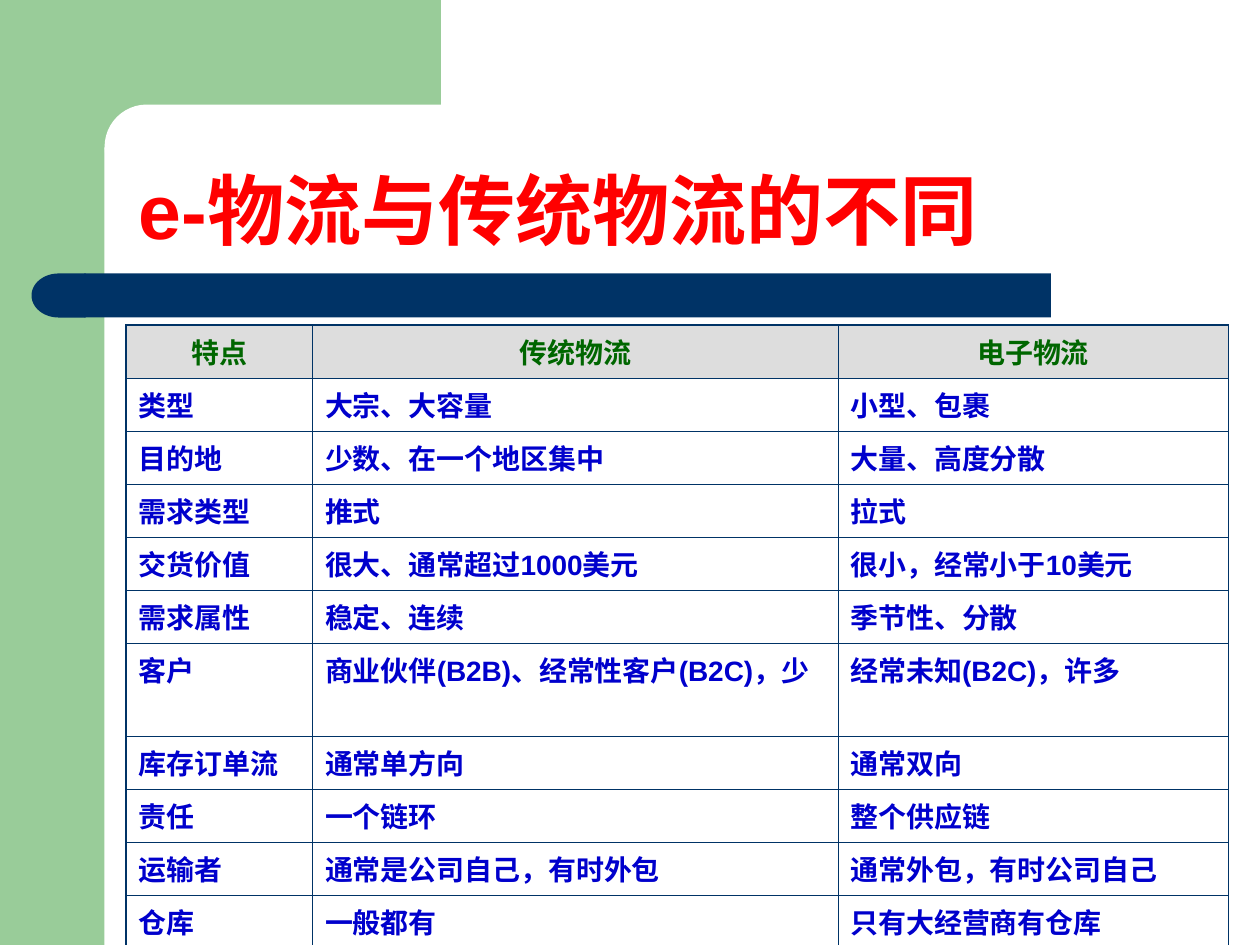
from lxml.etree import SubElement
from pptx import Presentation
from pptx.dml.color import RGBColor
from pptx.enum.shapes import MSO_SHAPE
from pptx.enum.text import MSO_ANCHOR, PP_ALIGN
from pptx.oxml.ns import qn
from pptx.util import Inches, Pt

GREEN = RGBColor(0x99, 0xCC, 0x99)
WHITE = RGBColor(0xFF, 0xFF, 0xFF)
NAVY = RGBColor(0x00, 0x33, 0x66)
RED = RGBColor(0xFF, 0x00, 0x00)
GREY = RGBColor(0xDD, 0xDD, 0xDD)
FOREST = RGBColor(0x00, 0x66, 0x00)
BLUE = RGBColor(0x00, 0x00, 0xCC)

FONT = "Arial"
THIN, THICK = Pt(0.45), Pt(1.08)
COLS = (1.48, 4.17, 3.1)
LOW, TALL = 0.38, 0.64
ROWS = (
    ("特点", "传统物流", "电子物流"),
    ("类型", "大宗、大容量", "小型、包裹"),
    ("目的地", "少数、在一个地区集中", "大量、高度分散"),
    ("需求类型", "推式", "拉式"),
    ("交货价值", "很大、通常超过1000美元", "很小，经常小于10美元"),
    ("需求属性", "稳定、连续", "季节性、分散"),
    ("客户", "商业伙伴(B2B)、经常性客户(B2C)，少", "经常未知(B2C)，许多"),
    ("库存订单流", "通常单方向", "通常双向"),
    ("责任", "一个链环", "整个供应链"),
    ("运输者", "通常是公司自己，有时外包", "通常外包，有时公司自己"),
    ("仓库", "一般都有", "只有大经营商有仓库"),
)


def add_block(slide, kind, box, color):
    """Add a plain filled shape in the box."""
    shape = slide.shapes.add_shape(kind, *map(Inches, box))
    shape.shadow.inherit = False
    shape.fill.solid()
    shape.fill.fore_color.rgb = color
    shape.line.fill.background()
    return shape


def add_frame(slide, box):
    """Draw the green corner with its rounded white cut-out."""
    left, top, width, height = box
    side = 0.83
    add_block(slide, MSO_SHAPE.RECTANGLE, (left, top, side, height), GREEN)
    add_block(slide, MSO_SHAPE.RECTANGLE, (left + 0.75, top, 2.75, 1.17), GREEN)
    panel = (left + side, top + side, 5.58, 0.67)
    add_block(slide, MSO_SHAPE.ROUNDED_RECTANGLE, panel, WHITE).adjustments[0] = 0.5


def add_bar(slide, box):
    """Draw the navy bar with a round left end."""
    left, top, width, height = box
    cap = 0.42
    add_block(slide, MSO_SHAPE.RECTANGLE, (left + cap, top, width - cap, height), NAVY)
    end = add_block(slide, MSO_SHAPE.FLOWCHART_DELAY, (left, top, cap + 0.01, height), NAVY)
    end.rotation = 180


def add_run(para, text, size, color):
    """Add one bold run to the paragraph."""
    run = para.add_run()
    run.text = text
    run.font.name = FONT
    run.font.size = Pt(size)
    run.font.bold = True
    run.font.color.rgb = color


def add_title(slide, box):
    """Place the title in front of the frame."""
    title = slide.shapes.title
    slide.shapes._spTree.append(title._element)
    title.left, title.top, title.width, title.height = map(Inches, box)
    title.text_frame.vertical_anchor = MSO_ANCHOR.BOTTOM
    para = title.text_frame.paragraphs[0]
    para.alignment = PP_ALIGN.LEFT
    para.line_spacing = 0.9
    add_run(para, "e-物流与传统物流的不同", 44, RED)


def set_edges(cell, widths):
    """Give the cell its left, right, top and bottom lines."""
    props = cell._tc.get_or_add_tcPr()
    for spot, (side, width) in enumerate(zip("LRTB", widths)):
        line = props.makeelement(qn(f"a:ln{side}"), {"w": str(int(width))})
        fill = SubElement(line, qn("a:solidFill"))
        SubElement(fill, qn("a:srgbClr"), val=str(NAVY))
        props.insert(spot, line)


def add_grid(slide, box):
    """Build the comparison table."""
    last_row, last_col = len(ROWS) - 1, len(COLS) - 1
    table = slide.shapes.add_table(len(ROWS), len(COLS), *map(Inches, box)).table
    table.first_row = table.horz_banding = False
    for col, width in zip(table.columns, COLS):
        col.width = Inches(width)
    for r, texts in enumerate(ROWS):
        head = r == 0
        table.rows[r].height = Inches(TALL if texts[0] == "客户" else LOW)
        for c, text in enumerate(texts):
            cell = table.cell(r, c)
            para = cell.text_frame.paragraphs[0]
            para.alignment = PP_ALIGN.CENTER if head else PP_ALIGN.LEFT
            add_run(para, text, 16, FOREST if head else BLUE)
            if head:
                cell.fill.solid()
                cell.fill.fore_color.rgb = GREY
            else:
                cell.fill.background()
            outer = (c == 0, c == last_col, head, r == last_row)
            set_edges(cell, [THICK if edge else THIN for edge in outer])


def main():
    """Build and save the slide."""
    deck = Presentation()
    deck.slide_width, deck.slide_height = Inches(10), Inches(7.5)
    slide = deck.slides.add_slide(deck.slide_layouts[5])
    add_frame(slide, (0, 0, 10, 7.5))
    add_bar(slide, (0.25, 2.17, 8.09, 0.35))
    add_title(slide, (1, 0.83, 8.75, 1.25))
    add_grid(slide, (1, 2.58, 8.75, 4.44))
    deck.save("out.pptx")


if __name__ == "__main__":
    main()
